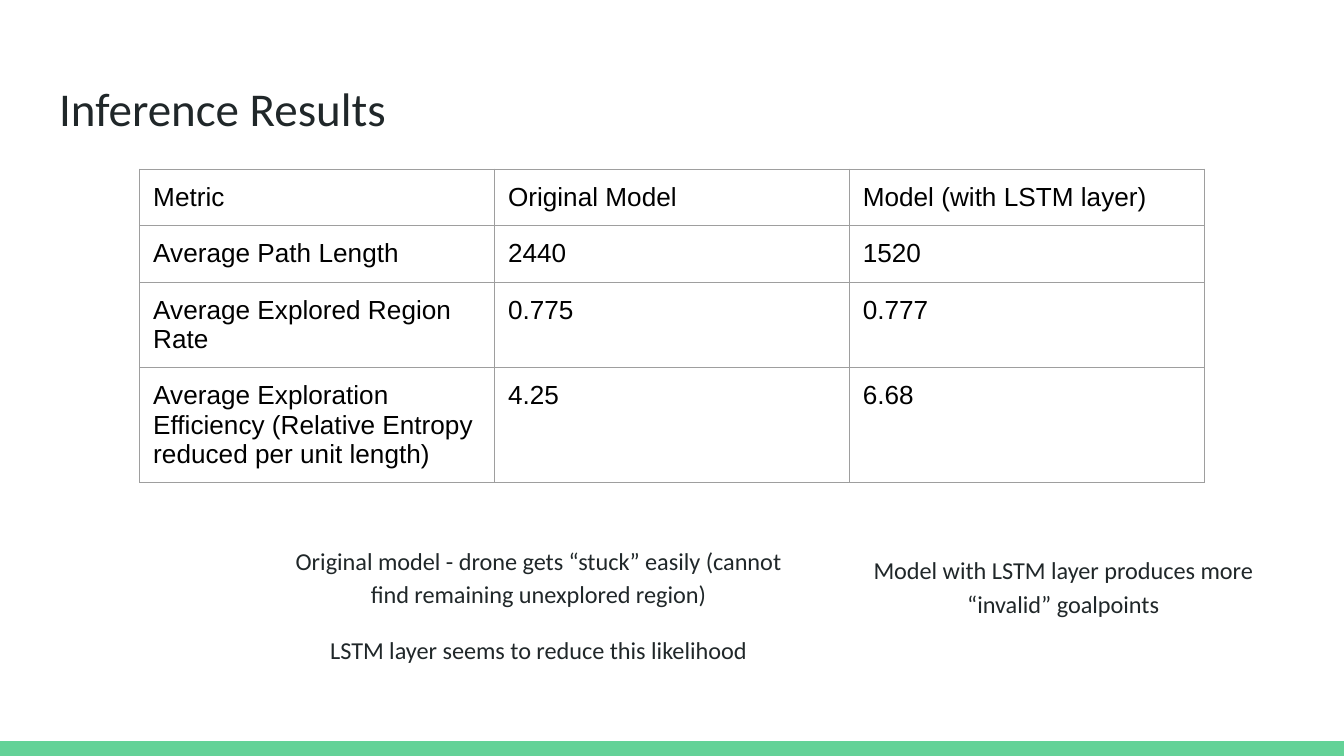
from lxml.etree import SubElement
from pptx import Presentation
from pptx.dml.color import RGBColor
from pptx.enum.shapes import MSO_SHAPE as Shape
from pptx.enum.text import MSO_ANCHOR as Anchor, MSO_AUTO_SIZE as AutoSize, PP_ALIGN as Align
from pptx.oxml.ns import qn
from pptx.util import Inches, Pt

WIDTH = 10
HEIGHT = WIDTH * 9 / 16
COLORS = {"accent": "63D297", "ink": "202729", "table": "000000", "border": "9E9E9E"}
INSET = Inches(0.1)

RESULTS = [
    ["Metric", "Original Model", "Model (with LSTM layer)"],
    ["Average Path Length", "2440", "1520"],
    ["Average Explored Region Rate", "0.775", "0.777"],
    ["Average Exploration Efficiency (Relative Entropy reduced per unit length)", "4.25", "6.68"],
]
COLUMN_WIDTH, ROW_HEIGHT = 2.64, 0.42

TITLE_FORMAT = {"alignment": Align.LEFT}
NOTE_FORMAT = {"alignment": Align.CENTER, "line_spacing": 1.15,
               "space_before": Pt(0), "space_after": Pt(0)}


def set_values(target, values):
    for name, value in values.items():
        setattr(target, name, value)


def write_paragraph(paragraph, text, size, font, color, values):
    run = paragraph.add_run()
    run.text = text
    set_values(run.font, {"size": Pt(size), "name": font})
    run.font.color.rgb = RGBColor.from_string(COLORS[color])
    set_values(paragraph, values)


def remove_bullet(paragraph):
    properties = paragraph._p.get_or_add_pPr()
    properties.set("marL", "0")
    properties.set("indent", "0")
    SubElement(properties, qn("a:buNone"))


def fill_placeholder(shape, box, paragraphs, size):
    """Move a placeholder and write (text, paragraph format) pairs into it."""
    set_values(shape, dict(zip(("left", "top", "width", "height"), map(Inches, box))))
    frame = shape.text_frame
    set_values(frame, {"margin_left": INSET, "margin_right": INSET, "margin_top": INSET,
                       "margin_bottom": INSET, "vertical_anchor": Anchor.TOP,
                       "word_wrap": True, "auto_size": AutoSize.NONE})
    for index, (text, values) in enumerate(paragraphs):
        paragraph = frame.add_paragraph() if index else frame.paragraphs[0]
        write_paragraph(paragraph, text, size, "Calibri", "ink", values)
        remove_bullet(paragraph)


def add_footer_bar(slide):
    height = 0.11
    bar = slide.shapes.add_shape(Shape.RECTANGLE, 0, Inches(HEIGHT - height),
                                 Inches(WIDTH), Inches(height))
    bar.shadow.inherit = False
    bar.fill.solid()
    bar.fill.fore_color.rgb = RGBColor.from_string(COLORS["accent"])
    bar.line.fill.background()


def add_borders(cell):
    properties = cell._tc.get_or_add_tcPr()
    for position, side in enumerate(("lnL", "lnR", "lnT", "lnB")):
        line = SubElement(properties, qn(f"a:{side}"), w=str(Pt(0.75)))
        fill = SubElement(line, qn("a:solidFill"))
        SubElement(fill, qn("a:srgbClr"), val=COLORS["border"])
        properties.insert(position, line)  # borders come before the fill


def add_results_table(slide, left, top):
    rows, columns = len(RESULTS), len(RESULTS[0])
    table = slide.shapes.add_table(rows, columns, Inches(left), Inches(top),
                                   Inches(columns * COLUMN_WIDTH),
                                   Inches(rows * ROW_HEIGHT)).table
    set_values(table, {"first_row": False, "horz_banding": False})
    for row, texts in zip(table.rows, RESULTS):
        for cell, text in zip(row.cells, texts):
            set_values(cell, {"margin_left": INSET, "margin_right": INSET,
                              "margin_top": INSET, "margin_bottom": INSET})
            cell.fill.background()
            add_borders(cell)
            write_paragraph(cell.text_frame.paragraphs[0], text, 14, "Arial", "table", {})


def main():
    presentation = Presentation()
    set_values(presentation, {"slide_width": Inches(WIDTH), "slide_height": Inches(HEIGHT)})
    slide = presentation.slides.add_slide(presentation.slide_layouts.get_by_name("Two Content"))
    title, drone_note, goal_note = slide.placeholders

    # Footer bar and title
    add_footer_bar(slide)
    fill_placeholder(title, (0.34, 0.49, 9.32, 0.63), [("Inference Results", TITLE_FORMAT)], 25.2)

    # Metrics of both models
    add_results_table(slide, 1.04, 1.26)

    # Observations below the table
    spaced = {**NOTE_FORMAT, "space_before": Pt(12), "space_after": Pt(12)}
    fill_placeholder(drone_note, (2.08, 3.93, 3.85, 0.59), [
        ("Original model - drone gets “stuck” easily (cannot find remaining unexplored region)",
         NOTE_FORMAT),
        ("LSTM layer seems to reduce this likelihood", spaced),
    ], 13)
    fill_placeholder(goal_note, (6.36, 4, 3.1, 0.59), [
        ("Model with LSTM layer produces more “invalid” goalpoints",
         {**NOTE_FORMAT, "space_after": Pt(12)}),
    ], 13)

    presentation.save("out.pptx")


if __name__ == "__main__":
    main()
